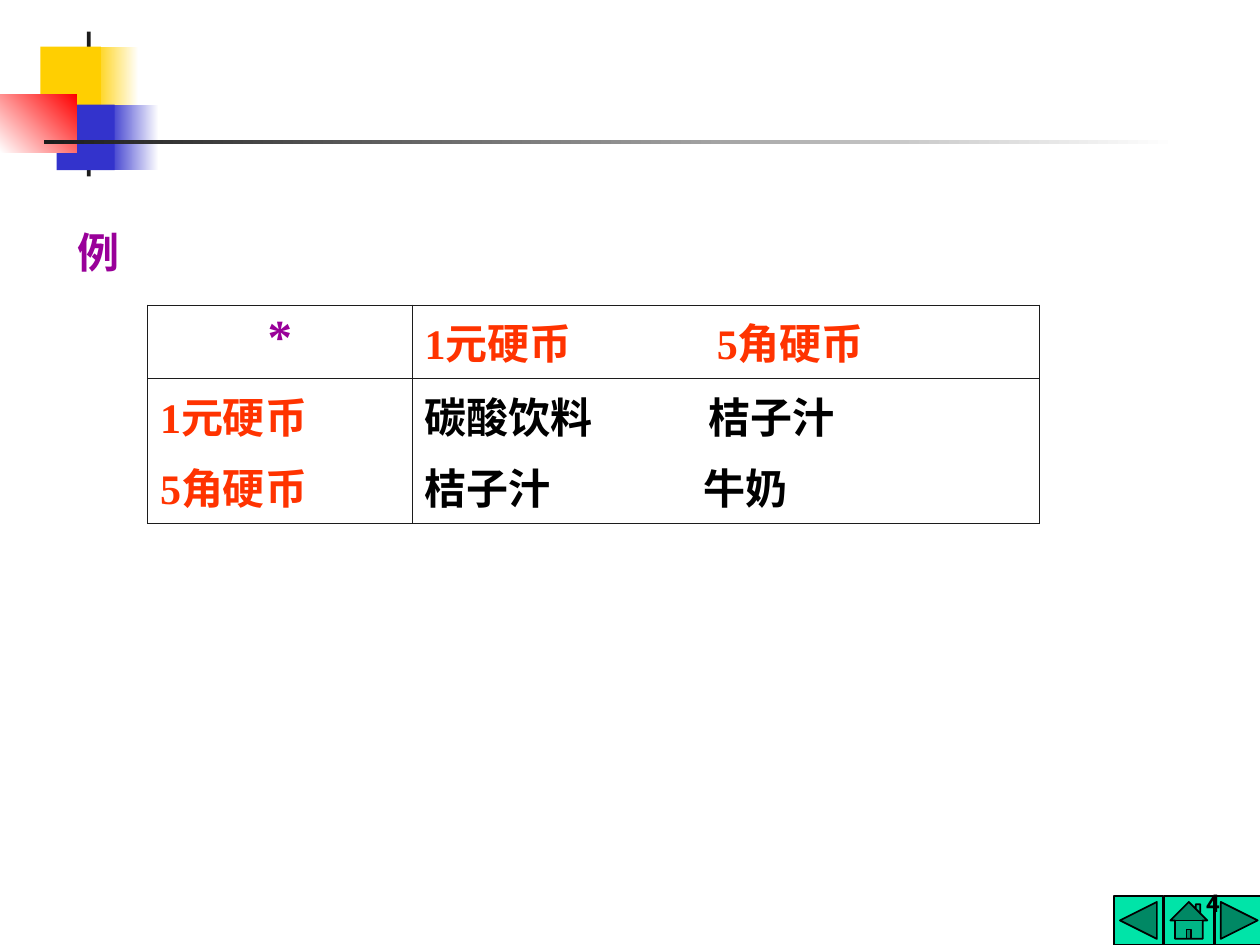
"""Build a slide with a coin and drink table, a block ornament and navigation buttons."""
from dataclasses import dataclass
from typing import Optional

from lxml import etree
from pptx import Presentation
from pptx.dml.color import RGBColor
from pptx.enum.shapes import MSO_SHAPE
from pptx.enum.text import MSO_ANCHOR, PP_ALIGN
from pptx.oxml.ns import qn
from pptx.util import Inches, Pt

RECT = MSO_SHAPE.RECTANGLE
BUTTONS = (MSO_SHAPE.ACTION_BUTTON_BACK_OR_PREVIOUS, MSO_SHAPE.ACTION_BUTTON_HOME,
           MSO_SHAPE.ACTION_BUTTON_FORWARD_OR_NEXT)
LEFT, CENTER, RIGHT = PP_ALIGN.LEFT, PP_ALIGN.CENTER, PP_ALIGN.RIGHT
TOP, BOTTOM = MSO_ANCHOR.TOP, MSO_ANCHOR.BOTTOM

WHITE = RGBColor(0xFF, 0xFF, 0xFF)
BLACK = RGBColor(0x00, 0x00, 0x00)
INK = RGBColor(0x1C, 0x1C, 0x1C)
YELLOW = RGBColor(0xFF, 0xCF, 0x01)
BLUE = RGBColor(0x33, 0x33, 0xCC)
RED = RGBColor(0xFF, 0x00, 0x00)
GREEN = RGBColor(0x00, 0xE4, 0xA8)
PURPLE = RGBColor(0x99, 0x00, 0x99)
ORANGE = RGBColor(0xFF, 0x33, 0x00)
SERIF = "Times New Roman"


@dataclass
class Block:
    left: float
    top: float
    width: float
    height: float
    color: RGBColor
    end_color: Optional[RGBColor] = None
    angle: float = 180


@dataclass
class Line:
    text: str
    color: RGBColor
    size: float = 24
    align: PP_ALIGN = LEFT
    tab: Optional[float] = None
    font: str = SERIF
    bold: bool = True


BLOCKS = [
    Block(0.74, 0.37, 0.36, 0.52, WHITE, YELLOW),
    Block(0.86, 0.83, 0.4, 0.52, WHITE, BLUE),
    Block(0.69, 0.25, 0.03, 1.15, INK),
    Block(0.32, 0.37, 0.48, 0.52, YELLOW),
    Block(0.45, 0.83, 0.46, 0.52, BLUE),
    Block(0, 0.75, 0.61, 0.46, RED, WHITE, 225),
    Block(0.35, 1.11, 9, 0.03, WHITE, INK),
]
COLUMNS = (2.1, 4.98)
ROWS = (0.57, 1.1)
CELLS = [
    [[Line("*", PURPLE, 28, CENTER)],
     [Line("1元硬币\t5角硬币", ORANGE, tab=2.32)]],
    [[Line("1元硬币", ORANGE), Line("5角硬币", ORANGE)],
     [Line("碳酸饮料\t桔子汁", BLACK, tab=2.25), Line("桔子汁\t牛奶", BLACK, tab=2.21)]],
]


def add_block(s, block: Block) -> None:
    sp = s.shapes.add_shape(RECT, Inches(block.left), Inches(block.top),
                            Inches(block.width), Inches(block.height))
    sp.shadow.inherit = False
    sp.line.fill.background()
    if block.end_color is None:
        sp.fill.solid()
        sp.fill.fore_color.rgb = block.color
        return
    sp.fill.gradient()
    sp.fill.gradient_angle = block.angle
    for stop, color in zip(sp.fill.gradient_stops, (block.color, block.end_color)):
        stop.color.rgb = color


def add_button(s, kind: MSO_SHAPE, left: float) -> None:
    sp = s.shapes.add_shape(kind, Inches(left), Inches(7.11), Inches(0.39), Inches(0.39))
    sp.shadow.inherit = False
    sp.fill.solid()
    sp.fill.fore_color.rgb = GREEN
    sp.line.color.rgb = BLACK
    sp.line.width = Pt(1)


def write_lines(tf, lines: list[Line]) -> None:
    for i, line in enumerate(lines):
        p = tf.add_paragraph() if i else tf.paragraphs[0]
        p.alignment = line.align
        if i:
            p.space_before = Pt(6)
        if line.tab is not None:
            tabs = etree.SubElement(p._p.get_or_add_pPr(), qn("a:tabLst"))
            etree.SubElement(tabs, qn("a:tab"), pos=str(Inches(line.tab)), algn="l")
        r = p.add_run()
        r.text = line.text
        r.font.name = line.font
        r.font.size = Pt(line.size)
        r.font.bold = line.bold
        r.font.color.rgb = line.color


def add_text(s, left: float, top: float, width: float, line: Line,
             anchor: MSO_ANCHOR = TOP) -> None:
    sp = s.shapes.add_textbox(Inches(left), Inches(top), Inches(width), Inches(0.5))
    tf = sp.text_frame
    tf.word_wrap = True
    tf.vertical_anchor = anchor
    write_lines(tf, [line])


def add_borders(cell) -> None:
    tc_pr = cell._tc.get_or_add_tcPr()
    for side in ("lnL", "lnR", "lnT", "lnB"):
        ln = etree.SubElement(tc_pr, qn(f"a:{side}"), w=str(Pt(0.45)))
        fill = etree.SubElement(ln, qn("a:solidFill"))
        etree.SubElement(fill, qn("a:srgbClr"), val=str(INK))


def add_coin_table(s) -> None:
    frame = s.shapes.add_table(len(ROWS), len(COLUMNS), Inches(1.17), Inches(2.42),
                               Inches(sum(COLUMNS)), Inches(sum(ROWS)))
    table = frame.table
    for column, width in zip(table.columns, COLUMNS):
        column.width = Inches(width)
    for row, height, contents in zip(table.rows, ROWS, CELLS):
        row.height = Inches(height)
        for cell, lines in zip(row.cells, contents):
            add_borders(cell)
            cell.fill.background()
            write_lines(cell.text_frame, lines)


def main() -> None:
    prs = Presentation()
    prs.slide_width, prs.slide_height = Inches(10), Inches(7.5)
    s = prs.slides.add_slide(prs.slide_layouts[6])
    for block in BLOCKS:
        add_block(s, block)
    for i, kind in enumerate(BUTTONS):
        add_button(s, kind, 8.84 + 0.4 * i)
    add_coin_table(s)
    add_text(s, 0.52, 1.75, 0.64, Line("例", PURPLE))
    add_text(s, 7.7, 6.83, 2.08, Line("4", BLACK, 14, RIGHT, font="Roboto"), BOTTOM)
    prs.save("out.pptx")


if __name__ == "__main__":
    main()
